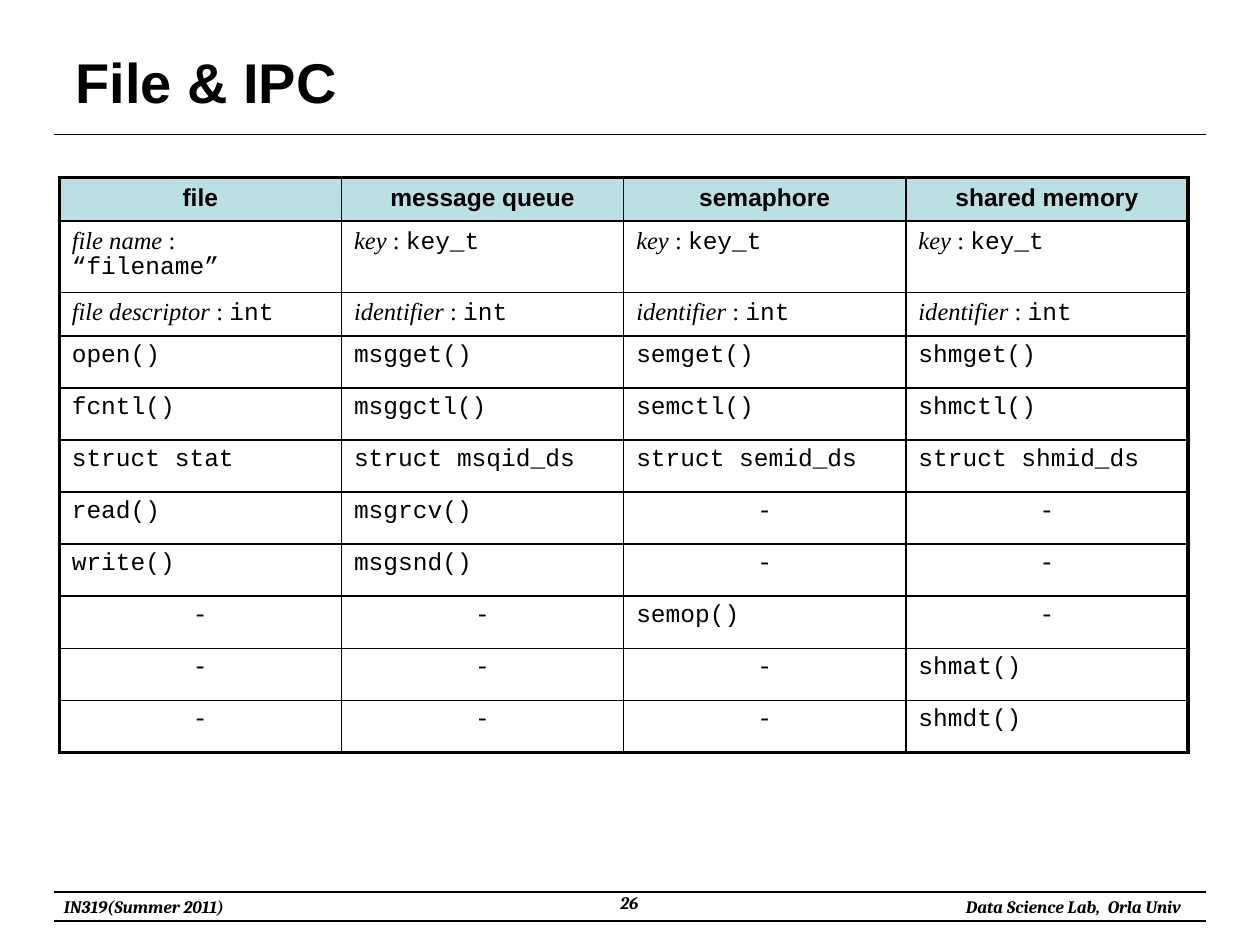
import pptx
import pptx.util
import pptx.dml.color
import pptx.enum.shapes
import pptx.enum.text
import pptx.oxml
import pptx.oxml.ns

ALIGN = pptx.enum.text.PP_ALIGN
ANCHOR = pptx.enum.text.MSO_ANCHOR
COLOURS = {"ink": "000000", "header": "BBE0E3"}
GRID_COLUMNS, GRID_ROWS = 100, 75
THIN, THICK = 1, 2.25

FORMATS = {
    "title": {"name": "Arial", "size": 32, "bold": True},
    "footer": {"name": "Cambria", "size": 10, "bold": True, "italic": True},
    "header": {"name": "Arial", "size": 14, "bold": True},
    "term": {"name": "Times New Roman", "size": 14, "italic": True},
    "colon": {"name": "Times New Roman", "size": 14},
    "code": {"name": "Courier New", "size": 14},
}

HEADINGS = ["file", "message queue", "semaphore", "shared memory"]
# A pair is a term and its type, a plain string is code.
COMPARISON = [
    [("file name", "“filename”")] + [("key", "key_t")] * 3,
    [("file descriptor", "int")] + [("identifier", "int")] * 3,
    ["open()", "msgget()", "semget()", "shmget()"],
    ["fcntl()", "msggctl()", "semctl()", "shmctl()"],
    ["struct stat", "struct msqid_ds", "struct semid_ds", "struct shmid_ds"],
    ["read()", "msgrcv()", "-", "-"],
    ["write()", "msgsnd()", "-", "-"],
    ["-", "-", "semop()", "-"],
    ["-", "-", "-", "shmat()"],
    ["-", "-", "-", "shmdt()"],
]


def rgb(name):
    """Return the named colour."""
    return pptx.dml.color.RGBColor.from_string(COLOURS[name])


class SlideBuilder:
    """Holds the style and the current slide."""

    def __init__(self, deck):
        """Add a blank slide and work out the grid steps."""
        self.slide = deck.slides.add_slide(deck.slide_layouts[6])
        self.column = deck.slide_width / GRID_COLUMNS
        self.row = deck.slide_height / GRID_ROWS

    def place(self, left, top, width, height):
        """Turn grid columns and rows into slide lengths."""
        return [round(left * self.column), round(top * self.row),
                round(width * self.column), round(height * self.row)]

    def fill_paragraph(self, paragraph, runs, align):
        """Fill a paragraph with (text, format name) runs."""
        paragraph.alignment = align
        for words, style in runs:
            run = paragraph.add_run()
            run.text = words
            run.font.color.rgb = rgb("ink")
            for key, value in FORMATS[style].items():
                setattr(run.font, key, pptx.util.Pt(value) if key == "size" else value)

    def text(self, box, words, style, align=ALIGN.LEFT, anchor=ANCHOR.TOP):
        """Add a text box."""
        frame = self.slide.shapes.add_textbox(*self.place(*box)).text_frame
        frame.word_wrap = True
        frame.vertical_anchor = anchor
        self.fill_paragraph(frame.paragraphs[0], [(words, style)], align)

    def rule(self, left, right, y):
        """Add a thin horizontal rule."""
        x1, y1, x2, y2 = self.place(left, y, right, y)
        line = self.slide.shapes.add_connector(
            pptx.enum.shapes.MSO_CONNECTOR.STRAIGHT, x1, y1, x2, y2)
        line.line.color.rgb = rgb("ink")
        line.line.width = pptx.util.Pt(0.75)
        line._element.spPr.append(pptx.oxml.parse_xml(
            f"<a:effectLst {pptx.oxml.ns.nsdecls('a')}/>"))

    def borders(self, cell, widths):
        """Draw the cell's sides; widths maps L, R, T and B to points."""
        properties = cell._tc.get_or_add_tcPr()
        for index, (side, width) in enumerate(widths.items()):
            properties.insert(index, pptx.oxml.parse_xml(
                f"<a:ln{side} {pptx.oxml.ns.nsdecls('a')} w='{pptx.util.Pt(width)}'>"
                f"<a:solidFill><a:srgbClr val='{COLOURS['ink']}'/></a:solidFill>"
                f"</a:ln{side}>"))

    def cell(self, cell, entry, heading):
        """Fill in one heading, code entry, typed term or dash."""
        if heading:
            cell.fill.solid()
            cell.fill.fore_color.rgb = rgb("header")
            runs = [(entry, "header")]
        else:
            cell.fill.background()
            runs = [(entry, "code")]
            if isinstance(entry, tuple):
                term, kind = entry
                runs = [(term, "term"), (" : ", "colon"), (kind, "code")]
        centred = heading or entry == "-"
        if not centred:
            cell.margin_right = pptx.util.Inches(0.15)
        self.fill_paragraph(cell.text_frame.paragraphs[0], runs,
                            ALIGN.CENTER if centred else ALIGN.LEFT)

    def table(self, box, entries, heights):
        """Add a table with a thick frame and a coloured heading row."""
        last_row, last_column = len(entries) - 1, len(entries[0]) - 1
        table = self.slide.shapes.add_table(
            len(entries), len(entries[0]), *self.place(*box)).table
        table.horz_banding = False
        for row, height in zip(table.rows, heights):
            row.height = round(height * self.row)
        for r, line in enumerate(entries):
            for c, entry in enumerate(line):
                cell = table.cell(r, c)
                self.cell(cell, entry, r == 0)
                outer = {"L": c == 0, "R": c == last_column,
                         "T": r == 0, "B": r == last_row}
                self.borders(cell, {side: THICK if edge else THIN
                                    for side, edge in outer.items()})


def main():
    """Build and save the slide."""
    deck = pptx.Presentation()
    deck.slide_width = pptx.util.Inches(10)
    deck.slide_height = pptx.util.Inches(7.5)
    page = SlideBuilder(deck)
    for y in (10.7, 70.8, 73.1):
        page.rule(4.3, 95.7, y)
    page.text((5, 3, 90, 6.9), "File & IPC", "title", anchor=ANCHOR.MIDDLE)
    page.text((4.1, 70.6, 17.3, 2.7), "IN319(Summer 2011)", "footer")
    page.text((38.3, 70.3, 23.3, 3.1), "26", "footer", ALIGN.CENTER)
    page.text((71.6, 70.6, 23.1, 2.7), "Data Science Lab,  Orla Univ", "footer",
              ALIGN.RIGHT)
    page.table((4.7, 14.1, 89.6, 43.4), [HEADINGS] + COMPARISON,
               [3.45] * 3 + [4.13] * 8)
    deck.save("out.pptx")


main()
